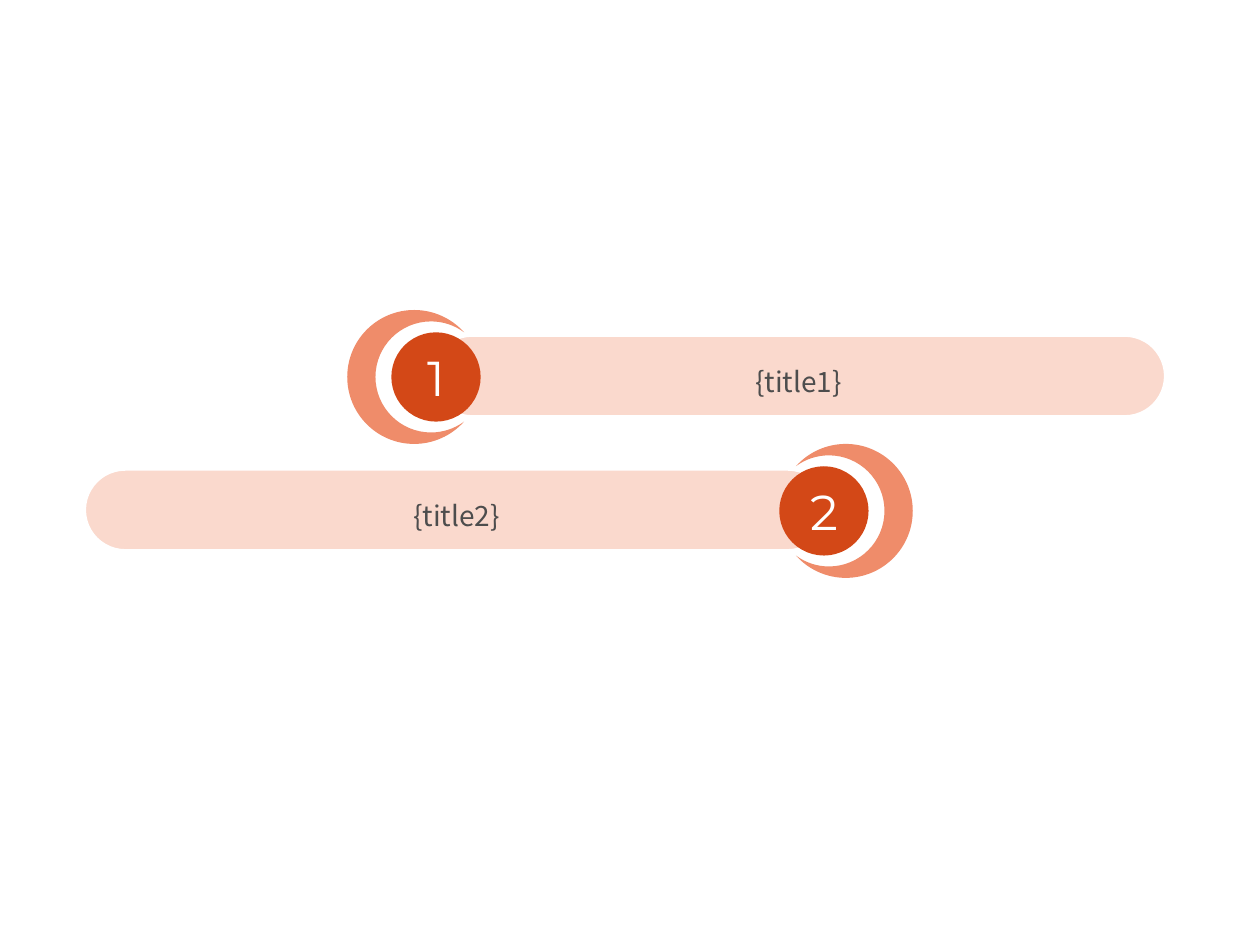
from dataclasses import dataclass
from itertools import pairwise
from math import acos, cos, pi, sin, tan

from lxml.etree import SubElement
from pptx import Presentation
from pptx.dml.color import RGBColor as RGB
from pptx.enum.shapes import MSO_SHAPE as SHAPE
from pptx.enum.text import MSO_ANCHOR as ANCHOR, PP_ALIGN as ALIGN
from pptx.oxml.ns import qn
from pptx.util import Cm, Pt


@dataclass(frozen=True)
class Theme:
    """Colours, fonts and type sizes of the slide."""
    white: RGB = RGB(0xFF, 0xFF, 0xFF)
    crescent: RGB = RGB(0xEF, 0x8C, 0x6A)
    bar: RGB = RGB(0xFA, 0xD9, 0xCD)
    badge: RGB = RGB(0xD3, 0x48, 0x17)
    ink: RGB = RGB(0x4D, 0x4D, 0x4D)
    title_font: str = "Noto Sans CJK SC"
    number_font: str = "Montserrat"
    title_size: int = 16
    number_size: int = 28


THEME = Theme()


def paint(sp, color, outline=None):
    """Fill a shape and give it an outline colour or none."""
    sp.shadow.inherit = False
    sp.fill.solid()
    sp.fill.fore_color.rgb = color
    if outline is None:
        sp.line.fill.background()
    else:
        sp.line.color.rgb = outline
        sp.line.width = Pt(2)


def write(sp, text, color, spacing=1.0, **font):
    """Put one centred paragraph in a shape."""
    tf = sp.text_frame
    tf.word_wrap, tf.vertical_anchor = True, ANCHOR.MIDDLE
    p = tf.paragraphs[0]
    p.alignment, p.line_spacing = ALIGN.CENTER, spacing
    r = p.add_run()
    r.text = text
    for name, value in font.items():
        setattr(r.font, name, value)
    r.font.color.rgb = color


def arc(cx, cy, radius, angles, side):
    """List Bezier curves through the angles, mirrored when side is -1."""
    def point(angle, pull=0.0):
        x = cos(angle) - pull * sin(angle)
        y = sin(angle) + pull * cos(angle)
        return Cm(cx + side * radius * x), Cm(cy + radius * y)

    curves = []
    for start, end in pairwise(angles):
        pull = 4 / 3 * tan((end - start) / 4)
        curves.append((point(start), point(start, pull),
                       point(end, -pull), point(end)))
    return curves


def add_curves(shapes, curves):
    """Draw a closed outline of Bezier curves."""
    builder = shapes.build_freeform(*curves[0][0])
    builder.add_line_segments([c[-1] for c in curves], close=True)
    sp = builder.convert_to_shape()
    segments = list(sp._element.iter(qn("a:lnTo")))
    for segment, curve in zip(segments, curves):
        bezier = SubElement(segment.getparent(), qn("a:cubicBezTo"))
        for x, y in curve[1:]:
            SubElement(bezier, qn("a:pt"),
                       x=str(x - sp.left), y=str(y - sp.top))
        segment.getparent().replace(segment, bezier)
    return sp


def add_crescent(shapes, cx, cy, outer, side):
    """Draw a moon that opens towards the bar."""
    inner, shift = 1.12, 0.34
    tip = (outer ** 2 - inner ** 2 + shift ** 2) / (2 * shift)
    a, b = acos(tip / outer), acos((tip - shift) / inner)
    quarters = [pi / 2, pi, 3 * pi / 2]
    curves = arc(cx, cy, outer, [a, *quarters, 2 * pi - a], side)
    curves += arc(cx + side * shift, cy, inner,
                  [2 * pi - b, *reversed(quarters), b], side)
    paint(add_curves(shapes, curves), THEME.crescent)


def add_row(shapes, box, number, title, side):
    """Place crescent, title bar and number badge in a box."""
    left, top, width, height = box
    radius, bar_gap, bar_h, bar_lift = height / 2, 0.34, 1.65, 0.02
    badge_shift, badge_d = 0.44, 1.8
    cx = left + radius if side > 0 else left + width - radius
    cy = top + radius
    add_crescent(shapes, cx, cy, radius, side)

    bar_w = width - radius - bar_gap
    bar_x = cx + bar_gap if side > 0 else left
    bar = shapes.add_shape(SHAPE.ROUNDED_RECTANGLE, Cm(bar_x),
                           Cm(cy - bar_h / 2 - bar_lift),
                           Cm(bar_w), Cm(bar_h))
    bar.adjustments[0] = 0.5
    paint(bar, THEME.bar, THEME.white)
    write(bar, title, THEME.ink, 1.3, name=THEME.title_font,
          size=Pt(THEME.title_size))

    badge = shapes.add_shape(
        SHAPE.OVAL, Cm(cx + side * badge_shift - badge_d / 2),
        Cm(cy - badge_d / 2), Cm(badge_d), Cm(badge_d))
    paint(badge, THEME.badge)
    write(badge, str(number), THEME.white, name=THEME.number_font,
          size=Pt(THEME.number_size))


def build():
    """Build the two-item agenda slide and save it."""
    prs = Presentation()
    prs.slide_width, prs.slide_height = Cm(25.4), Cm(19.05)
    s = prs.slides.add_slide(prs.slide_layouts[6])
    top, height = 6.25, 2.7
    rows = [("{title1}", 7, 16.5, 1), ("{title2}", 1.7, 16.7, -1)]
    for i, (title, left, width, side) in enumerate(rows):
        box = (left, top + i * height, width, height)
        add_row(s.shapes, box, i + 1, title, side)
    prs.save("out.pptx")


build()
